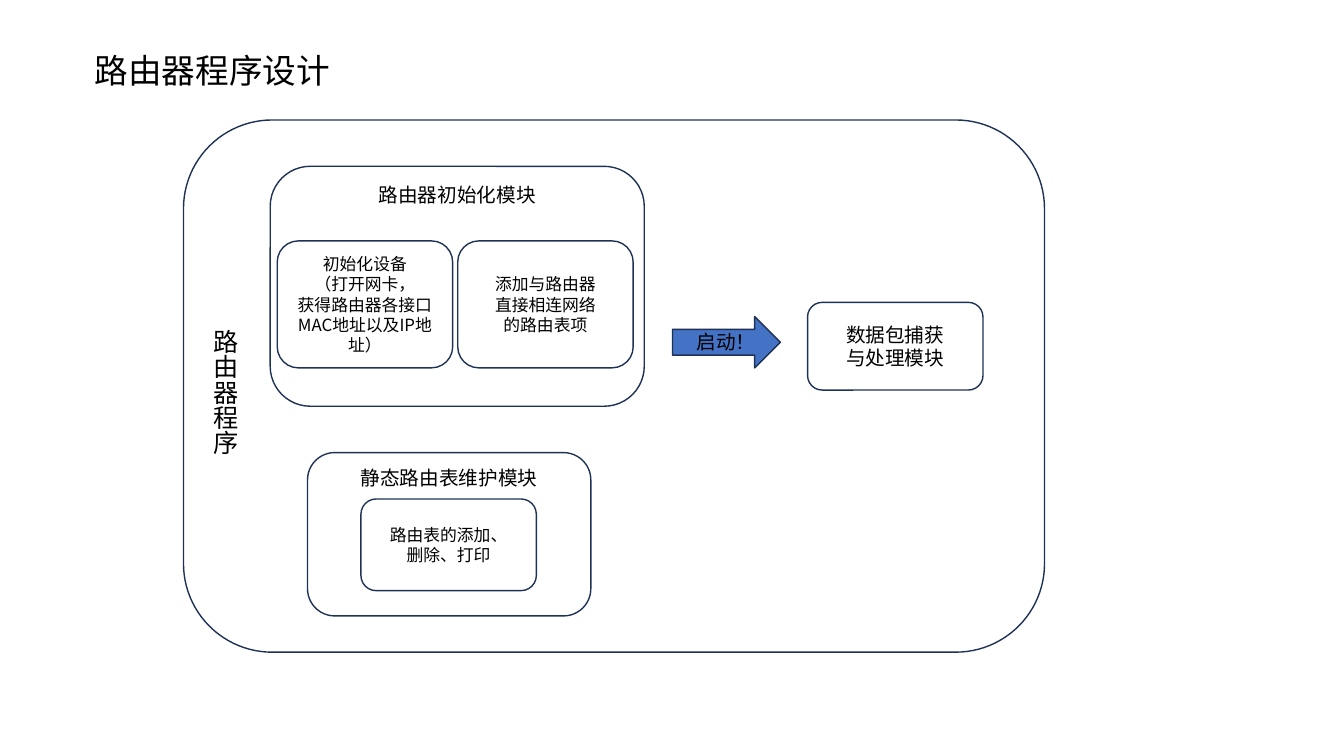
from dataclasses import dataclass

from lxml.etree import SubElement
from pptx import Presentation
from pptx.dml.color import RGBColor
from pptx.enum.shapes import MSO_SHAPE as SHAPE
from pptx.enum.text import MSO_ANCHOR as ANCHOR, MSO_AUTO_SIZE as AUTO, PP_ALIGN as ALIGN
from pptx.oxml.ns import qn
from pptx.util import Inches, Pt

FONT = "Noto Sans CJK SC"
COLORS = {"white": "FFFFFF", "line": "1E3256", "text": "000000", "arrow": "4472C4"}
BOX_W = 1.74
STEP_Y, STEP_H = 2.39, 1.26


@dataclass
class Box:
    x: float
    y: float
    w: float
    h: float
    text: str = ""
    size: int = 14
    anchor: ANCHOR = ANCHOR.MIDDLE
    kind: SHAPE = SHAPE.ROUNDED_RECTANGLE
    fill: str = "white"
    rotation: int = 0


@dataclass
class Label:
    x: float
    y: float
    w: float
    h: float
    text: str
    size: int
    wrap: bool = True
    vertical: bool = False


BOXES = [
    Box(1.82, 1.19, 8.54, 5.28),
    Box(2.68, 1.65, 3.71, 2.38, "路由器初始化模块", anchor=ANCHOR.TOP),
    Box(3.05, 4.49, 2.81, 1.62, "静态路由表维护模块", anchor=ANCHOR.TOP),
    Box(8.01, 3, BOX_W, 0.87, "数据包捕获\n与处理模块"),
    Box(2.75, STEP_Y, BOX_W, STEP_H,
        "初始化设备\n（打开网卡，\n获得路由器各接口MAC地址以及IP地址）", 12),
    Box(4.54, STEP_Y, BOX_W, STEP_H, "添加与路由器\n直接相连网络\n的路由表项", 12),
    Box(3.58, 4.95, BOX_W, 0.91, "路由表的添加、\n删除、打印", 12),
    Box(6.95, 2.86, 0.51, 1.07, kind=SHAPE.DOWN_ARROW, fill="arrow", rotation=270),
]

LABELS = [
    Label(1.93, 3.17, 0.5, 1.7, "路由器程序", 18, vertical=True),
    Label(6.81, 3.22, 0.9, 0.34, "启动！", 14),
    Label(0.84, 0.45, 2.56, 0.5, "路由器程序设计", 24, wrap=False),
]


def rgb(name: str) -> RGBColor:
    return RGBColor.from_string(COLORS[name])


def place(item: Box | Label) -> list[int]:
    return [Inches(v) for v in (item.x, item.y, item.w, item.h)]


def write_text(tf, text: str, size: int, align: ALIGN) -> None:
    tf.text = text
    for p in tf.paragraphs:
        p.alignment = align
        p.font.size = Pt(size)
        p.font.color.rgb = rgb("text")
        p.font.name = FONT
        props = p._p.find(".//" + qn("a:defRPr"))
        SubElement(props, qn("a:ea")).set("typeface", FONT)


def draw_box(slide, box: Box) -> None:
    sp = slide.shapes.add_shape(box.kind, *place(box))
    sp.shadow.inherit = False
    sp.rotation = box.rotation
    sp.fill.solid()
    sp.fill.fore_color.rgb = rgb(box.fill)
    sp.line.color.rgb = rgb("line")
    sp.line.width = Pt(1)
    if box.text:
        sp.text_frame.vertical_anchor = box.anchor
        write_text(sp.text_frame, box.text, box.size, ALIGN.CENTER)


def draw_label(slide, label: Label) -> None:
    tf = slide.shapes.add_textbox(*place(label)).text_frame
    tf.word_wrap = label.wrap
    tf.auto_size = AUTO.SHAPE_TO_FIT_TEXT
    if label.vertical:
        tf._txBody.bodyPr.set("vert", "eaVert")
    write_text(tf, label.text, label.size, ALIGN.LEFT)


def main() -> None:
    prs = Presentation()
    prs.slide_width, prs.slide_height = Inches(13.33), Inches(7.5)
    slide = prs.slides.add_slide(prs.slide_layouts[6])
    for box in BOXES:
        draw_box(slide, box)
    for label in LABELS:
        draw_label(slide, label)
    prs.save("out.pptx")


if __name__ == "__main__":
    main()
